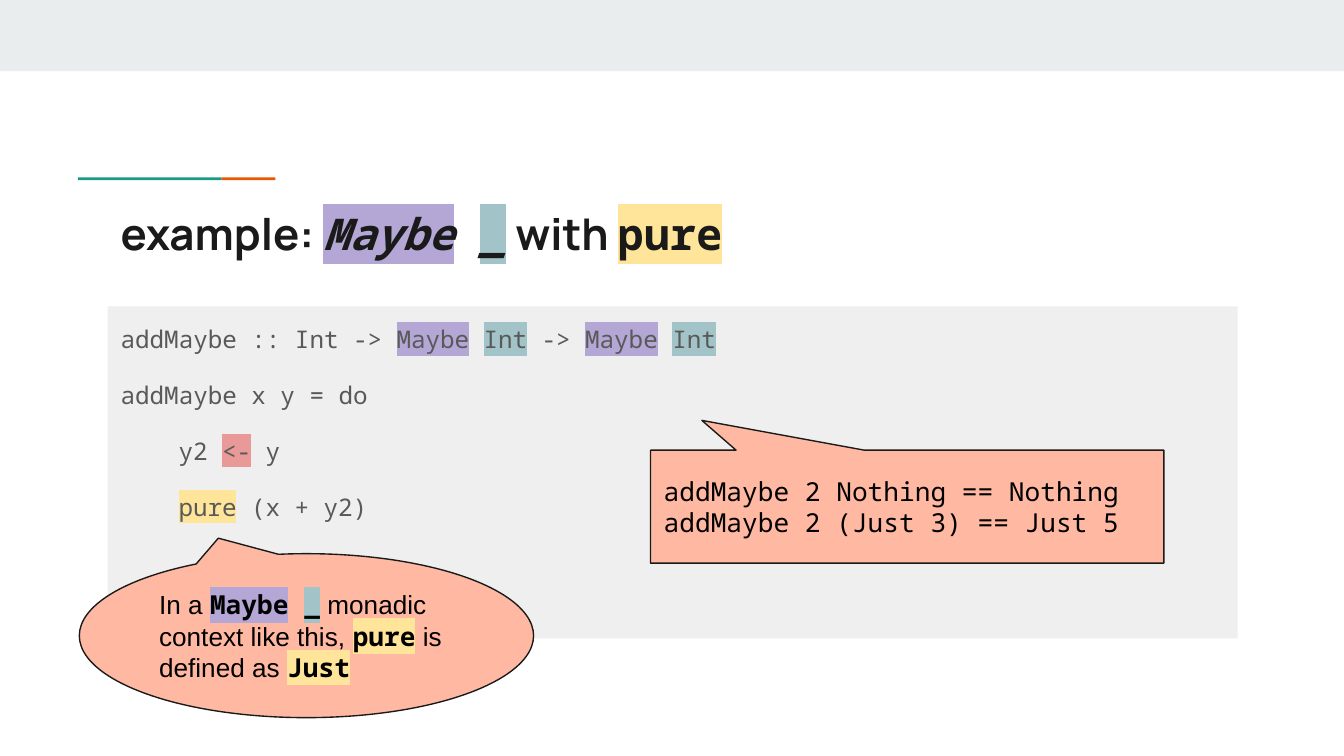
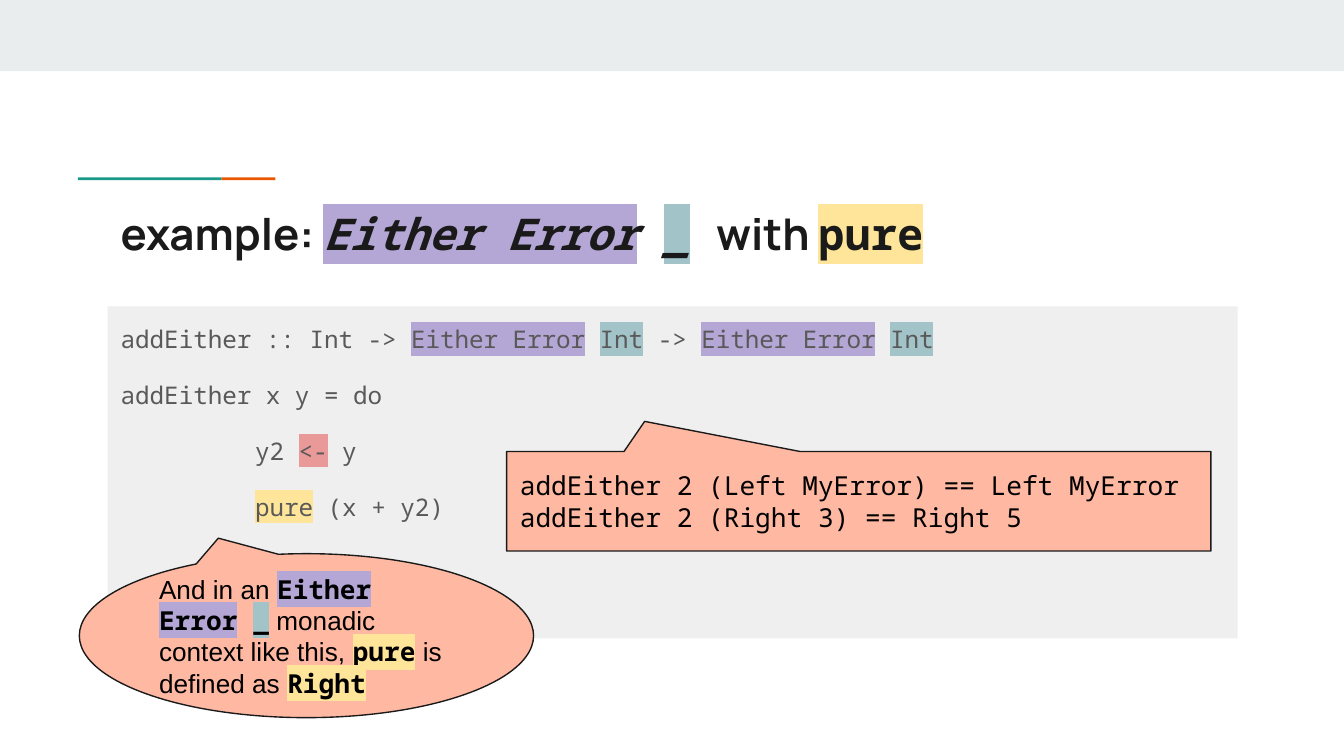
from lxml import etree
from pptx import Presentation
from pptx.dml.color import RGBColor
from pptx.enum.shapes import MSO_SHAPE
from pptx.enum.text import MSO_ANCHOR, PP_ALIGN
from pptx.oxml.ns import qn
from pptx.util import Inches, Pt

RECT = MSO_SHAPE.RECTANGLE
BOX_CALLOUT = MSO_SHAPE.ROUNDED_RECTANGULAR_CALLOUT
OVAL_CALLOUT = MSO_SHAPE.OVAL_CALLOUT
TOP, MIDDLE = MSO_ANCHOR.TOP, MSO_ANCHOR.MIDDLE
LEFT = PP_ALIGN.LEFT

BAND, TEAL, ORANGE = "E9EDEE", "1A9988", "EB5600"
PANEL, SALMON, INK = "EFEFEF", "FFB8A2", "1A1A1A"
GREY, BLACK = "595959", "000000"
HIGHLIGHTS = {"type": "B4A7D6", "hole": "A2C4C9", "bind": "EA9999", "pure": "FFE599"}
HEADING, PROSE, MONO = "Manrope", "Arial", "Noto Sans Mono"

TITLE_BOX = (0.8, 1.44, 8.41, 0.59)
CODE_BOX = (0.8, 2.28, 8.41, 2.47)
NOTE_BOX = (0.59, 4.12, 3.38, 1.22)


def rgb(value):
    """Turn a hex string into a colour."""
    return RGBColor.from_string(value)


def add_box(s, kind, box, fill, line=None, adjustments=()):
    """Add a filled preset shape without shadow."""
    sp = s.shapes.add_shape(kind, *map(Inches, box))
    sp.shadow.inherit = False
    sp.fill.solid()
    sp.fill.fore_color.rgb = rgb(fill)
    if line:
        sp.line.color.rgb = rgb(line)
        sp.line.width = Pt(0.75)
    else:
        sp.line.fill.background()
    for i, value in enumerate(adjustments):
        sp.adjustments[i] = value
    return sp


def set_frame(sp, anchor):
    """Prepare a wrapping text frame with equal insets."""
    tf = sp.text_frame
    tf.word_wrap = True
    tf.vertical_anchor = anchor
    tf.margin_left = tf.margin_right = tf.margin_top = tf.margin_bottom = Inches(0.1)
    return tf


def add_run(p, text, size, color, font, highlight=None, bold=False, italic=False):
    """Add one run with an optional highlight."""
    r = p.add_run()
    r.text = text
    r.font.size, r.font.bold, r.font.italic = Pt(size), bold, italic
    r.font.color.rgb = rgb(color)
    if highlight:
        mark = etree.SubElement(r.font._element, qn("a:highlight"))
        etree.SubElement(mark, qn("a:srgbClr")).set("val", highlight)
    r.font.name = font


def add_header(s):
    """Draw the top band and the two-colour rule."""
    add_box(s, RECT, (0, 0, 10, 0.53), BAND)
    add_box(s, RECT, (0.58, 1.32, 1.07, 0.02), TEAL)
    add_box(s, RECT, (1.65, 1.32, 0.4, 0.02), ORANGE)


def add_title(s, box, parts):
    """Write the title with its highlighted code words."""
    tf = set_frame(s.shapes.add_textbox(*map(Inches, box)), TOP)
    for text, role in parts:
        font = HEADING if role == "text" else MONO
        add_run(tf.paragraphs[0], text, 23.4, INK, font, HIGHLIGHTS.get(role),
                bold=True, italic=role in ("type", "hole", "mono"))


def add_code(s, box, name, kind, indent):
    """Write the function definition on its grey panel."""
    signature = [(f"{name} :: Int -> ", "mono"), (kind, "type"), (" ", "mono"),
                 ("Int", "hole"), (" -> ", "mono"), (kind, "type"),
                 (" ", "mono"), ("Int", "hole")]
    lines = [(0, signature),
             (0, [(f"{name} x y = do", "mono")]),
             (indent, [("y2 ", "mono"), ("<-", "bind"), (" y", "mono")]),
             (indent, [("pure", "pure"), (" (x + y2)", "mono")])]
    tf = set_frame(add_box(s, RECT, box, PANEL), TOP)
    for i, (margin, parts) in enumerate(lines):
        p = tf.add_paragraph() if i else tf.paragraphs[0]
        p.alignment = LEFT
        p.line_spacing = 1.15
        p.space_before = Pt(12 if i else 0)
        p._p.get_or_add_pPr().set("marL", str(Inches(margin)))
        for text, role in parts:
            add_run(p, text, 13, GREY, MONO, HIGHLIGHTS.get(role))


def add_results(s, box, pointer, lines):
    """Show sample results in a box callout."""
    sp = add_box(s, BOX_CALLOUT, box, SALMON, INK, (*pointer, 0))
    tf = set_frame(sp, MIDDLE)
    for i, line in enumerate(lines):
        p = tf.add_paragraph() if i else tf.paragraphs[0]
        p.alignment = LEFT
        add_run(p, line, 14, BLACK, MONO)


def add_note(s, box, opening, kind, constructor):
    """Explain the meaning of pure in an oval callout."""
    sp = add_box(s, OVAL_CALLOUT, box, SALMON, INK, (-0.194, -0.595))
    p = set_frame(sp, MIDDLE).paragraphs[0]
    p.alignment = LEFT
    parts = [(opening, "text"), (kind, "type"), (" ", "mono"), ("_", "hole"),
             (" monadic context like this, ", "text"), ("pure", "pure"),
             (" is defined as ", "text"), (constructor, "pure")]
    for text, role in parts:
        prose = role == "text"
        add_run(p, text, 14, BLACK, PROSE if prose else MONO,
                HIGHLIGHTS.get(role), bold=not prose)


def add_example(prs, name, kind, title_end, indent, results, note):
    """Build one example slide."""
    s = prs.slides.add_slide(prs.slide_layouts[6])
    add_header(s)
    add_title(s, TITLE_BOX, [("example: ", "text"), (kind, "type"), (" ", "mono"),
                             ("_", "hole"), *title_end, ("pure", "pure")])
    add_code(s, CODE_BOX, name, kind, indent)
    add_results(s, *results)
    opening, constructor = note
    add_note(s, NOTE_BOX, opening, kind, constructor)


def main():
    """Build and save the deck."""
    prs = Presentation()
    prs.slide_width = Inches(10)
    prs.slide_height = prs.slide_width * 9 // 16
    add_example(prs, "addMaybe", "Maybe", [(" with ", "text")], 0.43,
                ((4.84, 3.35, 3.82, 0.84), (-0.4, -0.764),
                 ["addMaybe 2 Nothing == Nothing", "addMaybe 2 (Just 3) == Just 5"]),
                ("In a ", "Just"))
    add_example(prs, "addEither", "Either Error", [(" ", "mono"), ("with ", "text")], 1,
                ((3.77, 3.36, 5.24, 0.74), (-0.304, -0.803),
                 ["addEither 2 (Left MyError) == Left MyError",
                  "addEither 2 (Right 3) == Right 5"]),
                ("And in an ", "Right"))
    prs.save("out.pptx")


if __name__ == "__main__":
    main()
